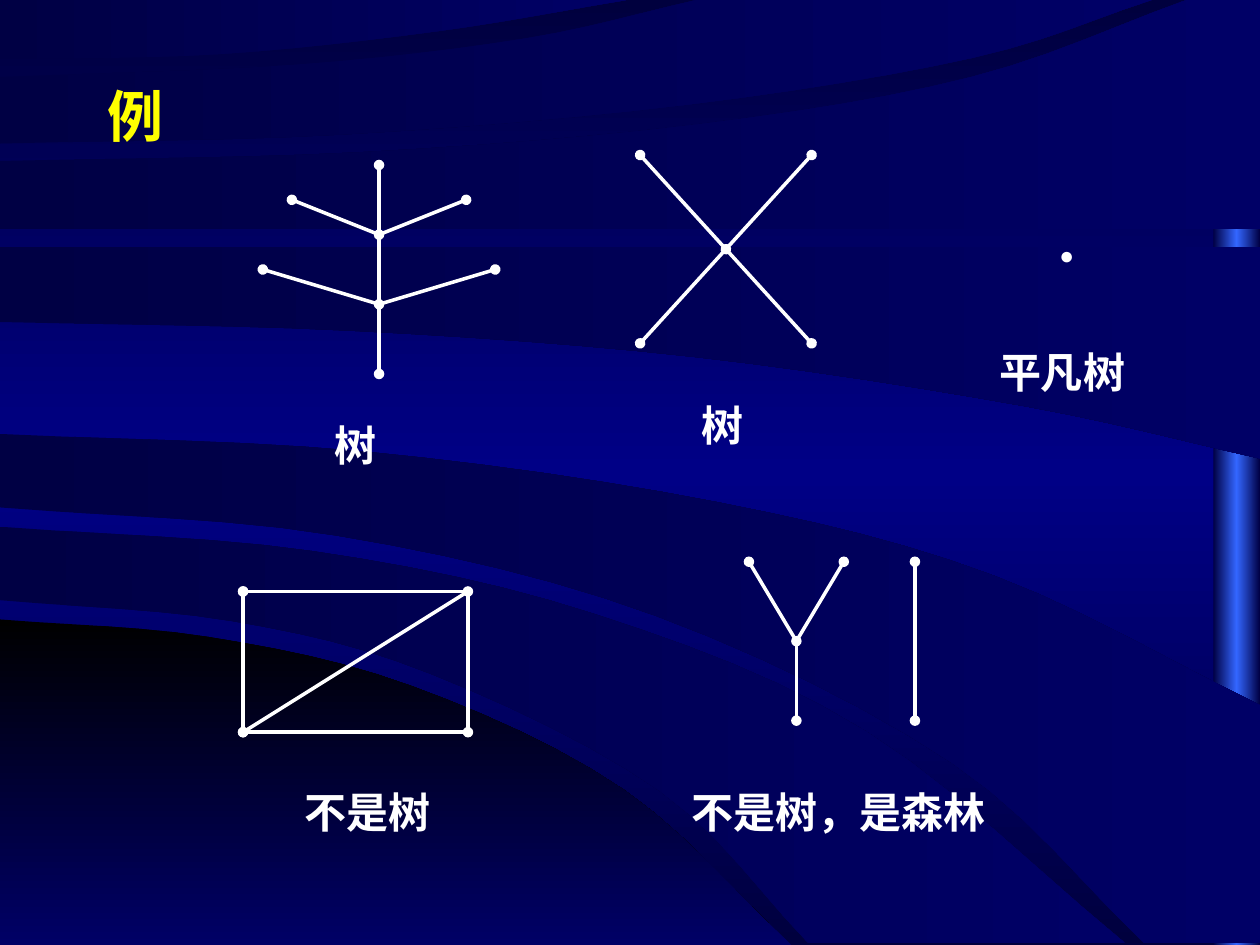
from copy import deepcopy
from dataclasses import dataclass

from lxml import etree
from pptx import Presentation
from pptx.dml.color import RGBColor
from pptx.enum.shapes import MSO_CONNECTOR, MSO_SHAPE
from pptx.enum.text import MSO_ANCHOR, MSO_AUTO_SIZE, PP_ALIGN
from pptx.oxml.ns import qn
from pptx.util import Pt

STRAIGHT, RECTANGLE = MSO_CONNECTOR.STRAIGHT, MSO_SHAPE.RECTANGLE
TOP, LEFT, FIT_SHAPE = MSO_ANCHOR.TOP, PP_ALIGN.LEFT, MSO_AUTO_SIZE.SHAPE_TO_FIT_TEXT
TITLE_ONLY = 5
WIDTH, HEIGHT = 720, 540
PILLAR_WIDTH = 26.6
LABEL_HEIGHT = 36
CURVE_STEPS = 6


@dataclass(frozen=True)
class Theme:
    font: str = "Times New Roman"
    ink: str = "FFFFFF"
    title: str = "FFFF00"
    title_size: int = 32
    label_size: int = 24
    dot_size: int = 14
    edge_width: int = 2
    backdrop: tuple = ("00003E", "000086", "00003E")
    pillar: tuple = ("000044", "3366FF", "000044")
    hill: tuple = ("000000", "000066")
    band: tuple = ("000044", "000066")


THEME = Theme()

# Knots of the upper and lower edge of each region, both from left to right.
HILL = ([(0, 354), (119, 364), (235, 392), (356, 451), (452, 540)],
        [(0, HEIGHT), (450, HEIGHT)])
BANDS = [
    ([(0, 301), (179, 315), (340, 351), (495, 418), (643, 539)],
     [(0, 343), (133, 355), (246, 385), (377, 452), (462, 539)]),
    ([(0, 248), (208, 258), (410, 287), (568, 329), (WIDTH, 403), (WIDTH, 539)],
     [(0, 290), (192, 306), (375, 352), (544, 436), (654, 539)]),
    ([(0, 141), (WIDTH, 141)],
     [(0, 184), (200, 189), (397, 204), (585, 232), (WIDTH, 262)]),
    ([(0, 92), (206, 87), (399, 71), (555, 44), (678, 0), (WIDTH, 0)],
     [(0, 131), (WIDTH, 131)]),
    ([(0, 44), (168, 37), (300, 22), (398, 0)],
     [(0, 82), (194, 77), (392, 60), (556, 33), (658, 0)]),
    ([(0, 0), (350, 0)],
     [(0, 34), (125, 31), (249, 18), (358, 0)]),
]

# Graphs: origin, grid unit, vertices on the grid, edges as (from, to, dotted ends).
HEAD, TAIL, BOTH, NONE = ("headEnd",), ("tailEnd",), ("headEnd", "tailEnd"), ()
GRAPHS = [
    ((216.6, 94.3), (16.6, 19.9),
     {"top": (0, 0), "upper": (0, 2), "lower": (0, 4), "root": (0, 6),
      "a": (-3, 1), "b": (3, 1), "c": (-4, 3), "d": (4, 3)},
     [("a", "upper", HEAD), ("lower", "upper", BOTH), ("top", "upper", HEAD),
      ("b", "upper", HEAD), ("c", "lower", HEAD), ("d", "lower", HEAD),
      ("root", "lower", HEAD)]),
    ((414.8, 142.4), (49, 53.8),
     {"hub": (0, 0), "a": (-1, -1), "b": (1, -1), "c": (-1, 1), "d": (1, 1)},
     [("a", "hub", BOTH), ("hub", "c", TAIL), ("hub", "d", TAIL), ("hub", "b", TAIL)]),
    ((138.9, 338), (128.5, 80.4),
     {"a": (0, 0), "b": (1, 0), "c": (0, 1), "d": (1, 1)},
     [("c", "d", BOTH), ("a", "b", BOTH), ("c", "a", BOTH), ("b", "c", NONE),
      ("b", "d", NONE)]),
    ((428, 321), (27.1, 45.4),
     {"a": (0, 0), "b": (2, 0), "fork": (1, 1), "root": (1, 2), "e": (3.5, 0), "f": (3.5, 2)},
     [("e", "f", BOTH), ("a", "fork", BOTH), ("fork", "root", TAIL), ("fork", "b", TAIL)]),
]

TITLE = ("例", (54, 43.2, 81.4, 46))
LABELS = [  # text, left, top, width
    ("树", 184.3, 236.2, 74),
    ("树", 393.8, 224.6, 74),
    ("不是树", 167, 445.7, 92),
    ("不是树，是森林", 388, 445.7, 215.3),
    ("平凡树", 563.8, 194.4, 90.7),
]
DOT = ("●", (598.3, 133.9, 23, 24.5))


def paint_gradient(fill, colors, angle=0):
    """Evenly spaced stops; the angle runs clockwise."""
    fill.gradient()
    fill.gradient_angle = (360 - angle) % 360
    last_stop = fill.gradient_stops[-1]._gs
    for _ in colors[2:]:
        last_stop.addnext(deepcopy(last_stop))
    for index, (stop, color) in enumerate(zip(fill.gradient_stops, colors)):
        stop.color.rgb = RGBColor.from_string(color)
        stop.position = index / (len(colors) - 1)


def finish_backdrop(shape, colors, angle=0):
    paint_gradient(shape.fill, colors, angle)
    shape.line.fill.background()
    shape.shadow.inherit = False


def smooth(knots):
    """Catmull-Rom curve through the knots; a vertical or level end stays straight."""
    last = len(knots) - 1
    corner = last > 1 and (knots[-1][0] == knots[-2][0] or knots[-1][1] == knots[-2][1])
    if corner:
        return smooth(knots[:-1]) + knots[-1:]
    if last == 1:
        return knots
    ends = [tuple(2 * p - q for p, q in zip(knots[i], knots[j])) for i, j in ((0, 1), (-1, -2))]
    padded = [ends[0], *knots, ends[1]]
    curve = []
    for quad in zip(padded, padded[1:], padded[2:], padded[3:]):
        for step in range(CURVE_STEPS):
            t = step / CURVE_STEPS
            curve.append(tuple(
                b + t * (c - a + t * (2 * a - 5 * b + 4 * c - d + t * (3 * (b - c) + d - a))) / 2
                for a, b, c, d in zip(*quad)))
    return curve + knots[-1:]


def add_band(shapes, edges, colors, angle=0):
    upper, lower = map(smooth, edges)
    outline = [(Pt(x), Pt(y)) for x, y in upper + lower[::-1]]
    builder = shapes.build_freeform(*outline[0])
    builder.add_line_segments(outline[1:], close=True)
    finish_backdrop(builder.convert_to_shape(), colors, angle)


def add_graph(shapes, origin, unit, vertices, edges):
    group = shapes.add_group_shape()
    for start, end, dotted_ends in edges:
        ends = [Pt(o + u * v) for name in (start, end)
                for o, u, v in zip(origin, unit, vertices[name])]
        edge = group.shapes.add_connector(STRAIGHT, *ends)
        edge.line.color.rgb = RGBColor.from_string(THEME.ink)
        edge.line.width = Pt(THEME.edge_width)
        outline = edge.line._get_or_add_ln()
        for dotted_end in dotted_ends:
            etree.SubElement(outline, qn(f"a:{dotted_end}"), type="oval")
        etree.SubElement(edge._element.spPr, qn("a:effectLst"))


def write(part, text, size=THEME.label_size, color=THEME.ink, bold=True, wrap=True):
    frame = part.text_frame
    frame.text = text
    frame.word_wrap = wrap
    frame.auto_size = FIT_SHAPE
    frame.vertical_anchor = TOP
    paragraph = frame.paragraphs[0]
    paragraph.alignment = LEFT
    font = paragraph.runs[0].font
    font.name, font.size, font.bold = THEME.font, Pt(size), bold
    font.color.rgb = RGBColor.from_string(color)


def main():
    deck = Presentation()
    deck.slide_width, deck.slide_height = Pt(WIDTH), Pt(HEIGHT)
    slide = deck.slides.add_slide(deck.slide_layouts[TITLE_ONLY])
    shapes = slide.shapes

    paint_gradient(slide.background.fill, THEME.backdrop, 90)
    pillar = shapes.add_shape(
        RECTANGLE, Pt(WIDTH - PILLAR_WIDTH), 0, Pt(PILLAR_WIDTH), Pt(HEIGHT))
    finish_backdrop(pillar, THEME.pillar)
    add_band(shapes, HILL, THEME.hill, 90)
    for edges in BANDS:
        add_band(shapes, edges, THEME.band)

    for graph in GRAPHS:
        add_graph(shapes, *graph)
    for text, *box in LABELS:
        write(shapes.add_textbox(*map(Pt, (*box, LABEL_HEIGHT))), text)
    text, box = DOT
    write(shapes.add_textbox(*map(Pt, box)), text, size=THEME.dot_size, bold=False, wrap=False)

    text, box = TITLE
    title = shapes.title
    title.left, title.top, title.width, title.height = map(Pt, box)
    write(title, text, size=THEME.title_size, color=THEME.title)
    title._element.getparent().append(title._element)  # in front of the bands
    deck.save("out.pptx")


if __name__ == "__main__":
    main()
